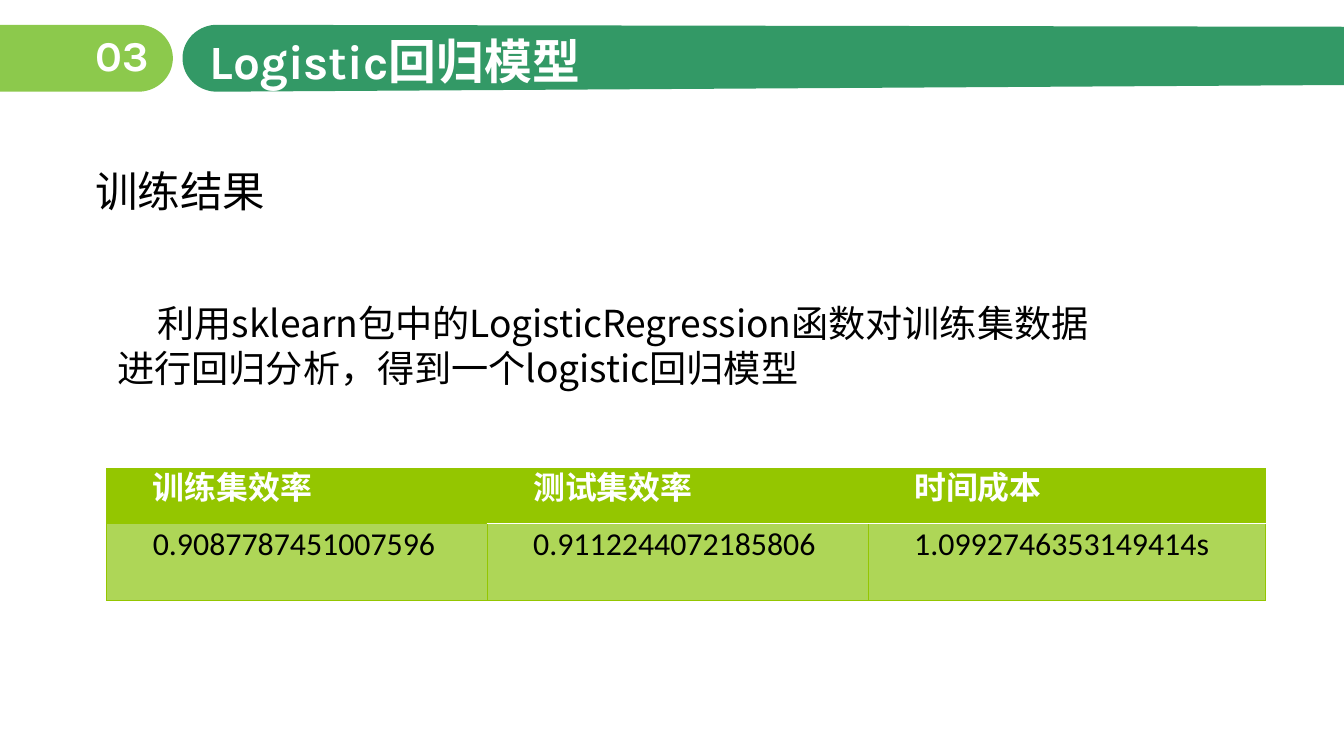
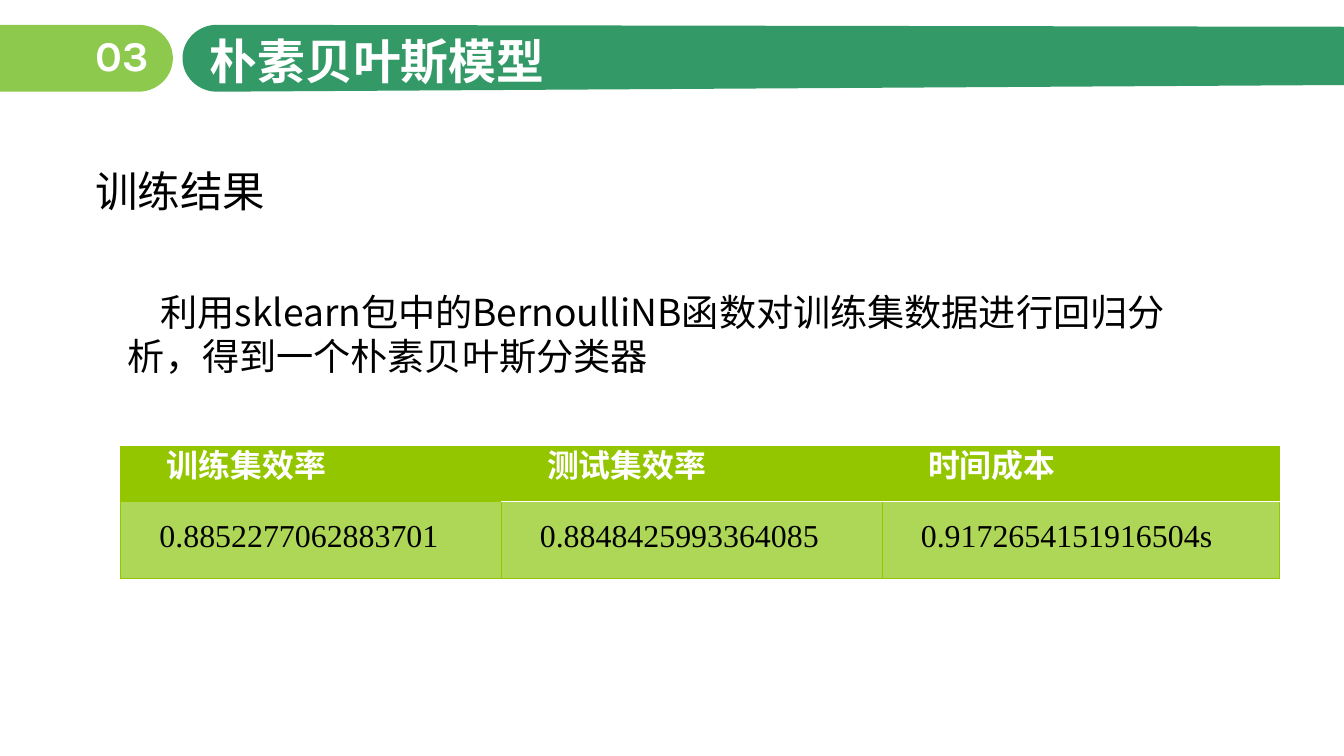
from dataclasses import dataclass
from math import cos, pi, sin

from lxml.etree import SubElement
from pptx import Presentation
from pptx.dml.color import RGBColor
from pptx.enum.lang import MSO_LANGUAGE_ID
from pptx.enum.text import MSO_ANCHOR, MSO_AUTO_SIZE, PP_ALIGN
from pptx.oxml import parse_xml
from pptx.oxml.ns import nsdecls, qn
from pptx.slide import Slide
from pptx.table import _Cell
from pptx.text.text import TextFrame
from pptx.util import Pt

PAGE_WIDTH, PAGE_HEIGHT = 1012.32, 569.52
WHITE, BLACK = "FFFFFF", "000000"
LIME, GREEN = "8CC94C", "339966"
TABLE_GREEN, TABLE_PALE = "94C600", "AED657"
HEADING_FONT, PLAIN_FONT = "Karla", "Calibri"
SERIF_FONT, CHINESE_FONT = "Times New Roman", "Noto Sans CJK SC"

BAND_TOP, BAND_BOTTOM = 18.72, 69.12
CAP_RADIUS = 26
COLUMN_WIDTHS = (286.5, 287.0, 299.5)
ROW_HEIGHTS = (41.6, 57.6)
HEADERS = ("训练集效率", "测试集效率", "时间成本")
HEADER_INSETS = (10.8, 10.8, 10.8, 10.8)


@dataclass(frozen=True)
class Area:
    left: float
    top: float
    width: float
    height: float

    def lengths(self) -> tuple[Pt, Pt, Pt, Pt]:
        return Pt(self.left), Pt(self.top), Pt(self.width), Pt(self.height)


@dataclass(frozen=True)
class Result:
    """One model's slide; insets are left, top, right, bottom."""
    title: str
    summary: str
    summary_area: Area
    summary_indent: float
    table_left: float
    table_top: float
    values: tuple[str, ...]
    value_font: str
    value_insets: tuple[float, ...]


RESULTS = (
    Result(
        "Logistic回归模型",
        "利用sklearn包中的LogisticRegression函数对训练集数据进行回归分析，得到一个logistic回归模型",
        Area(81.4, 222.5, 771.1, 74.9), 30.25, 80.3, 352.8,
        ("0.9087787451007596", "0.9112244072185806", "1.0992746353149414s"),
        PLAIN_FONT, HEADER_INSETS,
    ),
    Result(
        "朴素贝叶斯模型",
        "利用sklearn包中的BernoulliNB函数对训练集数据进行回归分析，得到一个朴素贝叶斯分类器",
        Area(89.3, 213.8, 797, 74.9), 24.5, 90.7, 336.2,
        ("0.8852277062883701", "0.8848425993364085", "0.9172654151916504s"),
        SERIF_FONT, (5.4, 20, 5.4, 0),
    ),
)


def rgb(color: str) -> RGBColor:
    return RGBColor.from_string(color)


def write(frame: TextFrame, text: str, *, size: float, font: str = PLAIN_FONT,
          color: str = BLACK, bold: bool = False, indent: float = 0,
          line_spacing: float | None = None,
          align: PP_ALIGN = PP_ALIGN.LEFT) -> None:
    para = frame.paragraphs[0]
    para.alignment = align
    if line_spacing:
        para.line_spacing = Pt(line_spacing)
    if indent:
        para._p.get_or_add_pPr().set("indent", str(Pt(indent)))
    span = para.add_run()
    span.text = text
    span.font.size = Pt(size)
    span.font.bold = bold
    span.font.color.rgb = rgb(color)
    span.font.language_id = MSO_LANGUAGE_ID.SIMPLIFIED_CHINESE
    span.font.name = font
    SubElement(span.font._element, qn("a:ea"), typeface=CHINESE_FONT)


def add_text(page: Slide, area: Area, text: str, *,
             anchor: MSO_ANCHOR = MSO_ANCHOR.TOP, **text_format) -> None:
    frame = page.shapes.add_textbox(*area.lengths()).text_frame
    frame.word_wrap = True
    frame.auto_size = MSO_AUTO_SIZE.SHAPE_TO_FIT_TEXT
    frame.vertical_anchor = anchor
    write(frame, text, **text_format)


def round_cap(center: float, direction: int) -> list[tuple[float, float]]:
    """Half-round end from band top to bottom; direction 1 faces right."""
    steps = 40
    middle = (BAND_TOP + BAND_BOTTOM) / 2
    half = (BAND_BOTTOM - BAND_TOP) / 2
    angles = [pi * step / steps for step in range(steps + 1)]
    return [(center + direction * CAP_RADIUS * sin(angle), middle - half * cos(angle))
            for angle in angles]


def add_band(page: Slide, outline: list[tuple[float, float]], color: str) -> None:
    points = [(Pt(x), Pt(y)) for x, y in outline]
    builder = page.shapes.build_freeform(*points[0])
    builder.add_line_segments(points[1:], close=True)
    band = builder.convert_to_shape()
    band.shadow.inherit = False
    band.fill.solid()
    band.fill.fore_color.rgb = rgb(color)
    band.line.fill.background()


def add_header(page: Slide, title: str) -> None:
    add_band(page, [(0, BAND_TOP), *round_cap(104.2, 1), (0, BAND_BOTTOM)], LIME)
    add_band(page, [(PAGE_WIDTH, 20.2), *round_cap(163.5, -1), (PAGE_WIDTH, 64.1)], GREEN)
    heading = {"font": HEADING_FONT, "color": WHITE, "bold": True}
    add_text(page, Area(64.8, 18.3, 64, 46), "03", size=32, **heading)
    add_text(page, Area(150.8, 20.5, 400, 51), title, size=36, **heading)


def set_borders(cell: _Cell, **edges: tuple[str, float]) -> None:
    """Give edges by side letter L, R, T, B, in that order."""
    properties = cell._tc.get_or_add_tcPr()
    for index, (side, (color, width)) in enumerate(edges.items()):
        properties.insert(index, parse_xml(
            f'<a:ln{side} {nsdecls("a")} w="{Pt(width)}"><a:solidFill>'
            f'<a:srgbClr val="{color}"/></a:solidFill></a:ln{side}>'))


def fill_cell(cell: _Cell, text: str, *, insets: tuple[float, ...], fill: str,
              **text_format) -> None:
    (cell.margin_left, cell.margin_top,
     cell.margin_right, cell.margin_bottom) = map(Pt, insets)
    cell.fill.solid()
    cell.fill.fore_color.rgb = rgb(fill)
    write(cell.text_frame, text, size=24, indent=24, line_spacing=20,
          align=PP_ALIGN.JUSTIFY, **text_format)


def add_result_table(page: Slide, result: Result) -> None:
    area = Area(result.table_left, result.table_top, sum(COLUMN_WIDTHS), sum(ROW_HEIGHTS))
    table = page.shapes.add_table(2, len(HEADERS), *area.lengths()).table
    table.first_row = table.horz_banding = False
    for row, height in zip(table.rows, ROW_HEIGHTS):
        row.height = Pt(height)
    thin = (TABLE_GREEN, 0.5)
    for index, width in enumerate(COLUMN_WIDTHS):
        table.columns[index].width = Pt(width)
        header, value = table.cell(0, index), table.cell(1, index)
        fill_cell(header, HEADERS[index], insets=HEADER_INSETS, fill=TABLE_GREEN,
                  color=WHITE, bold=True)
        fill_cell(value, result.values[index], insets=result.value_insets,
                  fill=TABLE_PALE, font=result.value_font)
        divider = (WHITE, 1) if index else thin
        set_borders(header, L=thin, R=thin, T=thin, B=divider)
        set_borders(value, L=thin, R=thin, T=divider, B=thin)


def main() -> None:
    deck = Presentation()
    deck.slide_width, deck.slide_height = Pt(PAGE_WIDTH), Pt(PAGE_HEIGHT)
    for result in RESULTS:
        page = deck.slides.add_slide(deck.slide_layouts[6])
        add_header(page, result.title)
        add_text(page, Area(64.8, 121, 144, 46), "训练结果", size=32)
        add_text(page, result.summary_area, result.summary, size=28, font=CHINESE_FONT,
                 indent=result.summary_indent, anchor=MSO_ANCHOR.MIDDLE)
        add_result_table(page, result)
    deck.save("out.pptx")


if __name__ == "__main__":
    main()
